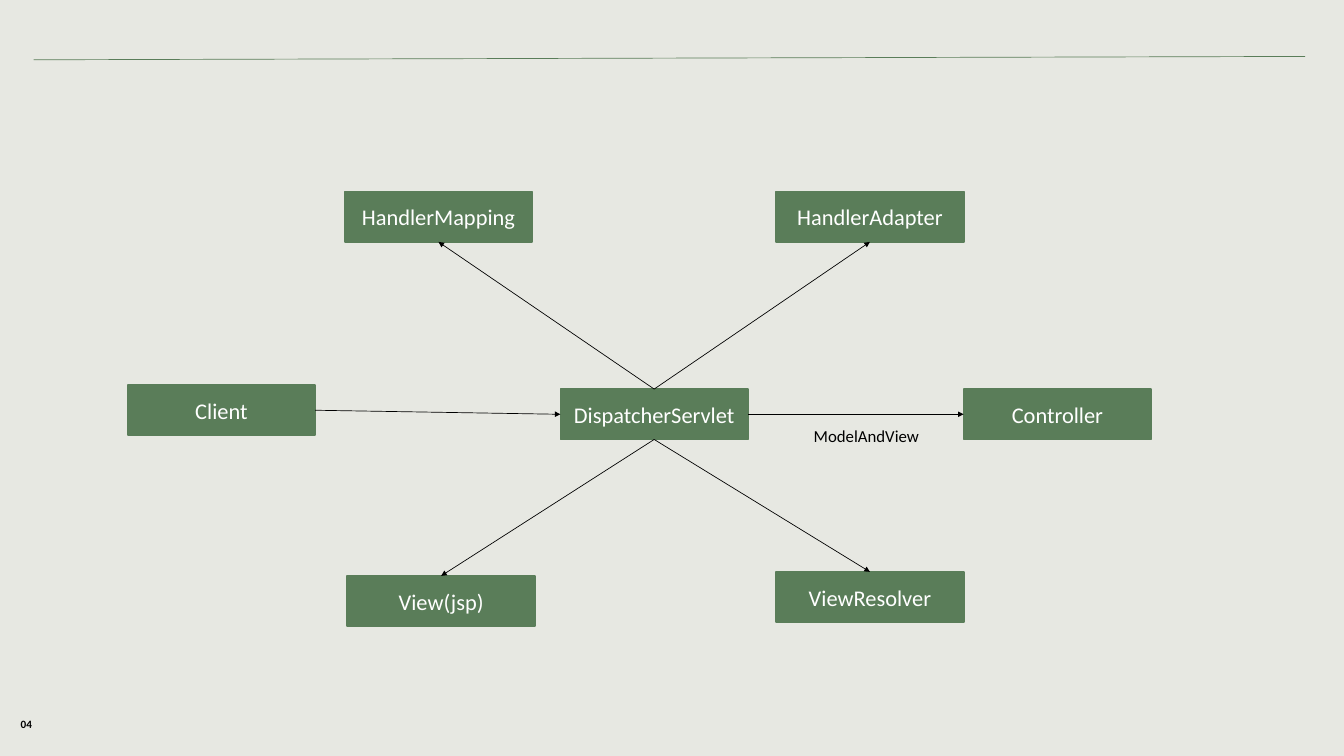
import pptx
import pptx.util
import pptx.dml.color
import pptx.enum.shapes
import pptx.enum.text
import pptx.oxml
import pptx.oxml.ns
from pptx.util import Inches

GREEN, BLACK, WHITE, BACKGROUND = "5A7D59", "000000", "FFFFFF", "E7E8E2"
BOX_WIDTH, BOX_HEIGHT = 2.79, 0.75
TOP, LEFT, BOTTOM, RIGHT = range(4)  # connection sites of a rectangle


def set_color(color_format, hex_color):
    color_format.rgb = pptx.dml.color.RGBColor.from_string(hex_color)


def write_text(shape, text, size, color, bold=False):
    shape.text_frame.text = text
    font = shape.text_frame.paragraphs[0].runs[0].font
    font.name, font.size, font.bold = "Calibri", pptx.util.Pt(size), bold
    set_color(font.color, color)


presentation = pptx.Presentation()
presentation.slide_width = Inches(20)
presentation.slide_height = Inches(11.25)
slide = presentation.slides.add_slide(presentation.slide_layouts[6])
slide.background.fill.solid()
set_color(slide.background.fill.fore_color, BACKGROUND)

# Component boxes
box_positions = {
    "DispatcherServlet": (8.34, 5.79),
    "HandlerAdapter": (11.55, 2.85),
    "Controller": (14.34, 5.79),
    "ViewResolver": (11.55, 8.51),
    "View(jsp)": (5.17, 8.57),
    "Client": (1.9, 5.73),
    "HandlerMapping": (5.13, 2.85),
}
boxes = {}
for name, (left, top) in box_positions.items():
    box = slide.shapes.add_shape(
        pptx.enum.shapes.MSO_SHAPE.RECTANGLE,
        Inches(left), Inches(top), Inches(BOX_WIDTH), Inches(BOX_HEIGHT))
    box.shadow.inherit = False
    box.fill.solid()
    set_color(box.fill.fore_color, GREEN)
    set_color(box.line.color, GREEN)
    box.line.width = pptx.util.Pt(2)
    write_text(box, name, 24, WHITE)
    box.text_frame.vertical_anchor = pptx.enum.text.MSO_ANCHOR.MIDDLE
    box.text_frame.paragraphs[0].alignment = pptx.enum.text.PP_ALIGN.CENTER
    boxes[name] = box

# Header rule and request-flow arrows, glued to the boxes
straight = pptx.enum.shapes.MSO_CONNECTOR.STRAIGHT
header_rule = slide.shapes.add_connector(
    straight, Inches(0.5), Inches(0.89), Inches(19.42), Inches(0.84))
lines = [(header_rule, GREEN)]
flows = [
    ("DispatcherServlet", TOP, "HandlerMapping", BOTTOM),
    ("Client", RIGHT, "DispatcherServlet", LEFT),
    ("DispatcherServlet", BOTTOM, "View(jsp)", TOP),
    ("DispatcherServlet", BOTTOM, "ViewResolver", TOP),
    ("DispatcherServlet", RIGHT, "Controller", LEFT),
    ("DispatcherServlet", TOP, "HandlerAdapter", BOTTOM),
]
for source, source_site, target, target_site in flows:
    arrow = slide.shapes.add_connector(straight, 0, 0, 0, 0)
    arrow.begin_connect(boxes[source], source_site)
    arrow.end_connect(boxes[target], target_site)
    lines.append((arrow, BLACK))

for line, color in lines:
    set_color(line.line.color, color)
    line.line.width = pptx.util.Pt(0.75)
    if line is not header_rule:
        arrowhead = pptx.oxml.parse_xml(
            f'<a:tailEnd {pptx.oxml.ns.nsdecls("a")} type="triangle"/>')
        line.line._get_or_add_ln().append(arrowhead)
    line._element.spPr.append(
        pptx.oxml.parse_xml(f'<a:effectLst {pptx.oxml.ns.nsdecls("a")}/>'))

# Arrow label and page number
labels = [
    ("ModelAndView", 12.01, 6.28, 1.85, 0.4, 18, False, True),
    ("04", 0.21, 10.62, 0.37, 0.3, 12, True, False),
]
for text, left, top, width, height, size, bold, wrap in labels:
    label = slide.shapes.add_textbox(
        Inches(left), Inches(top), Inches(width), Inches(height))
    write_text(label, text, size, BLACK, bold)
    label.text_frame.word_wrap = wrap
    label.text_frame.auto_size = pptx.enum.text.MSO_AUTO_SIZE.SHAPE_TO_FIT_TEXT

presentation.save("out.pptx")
